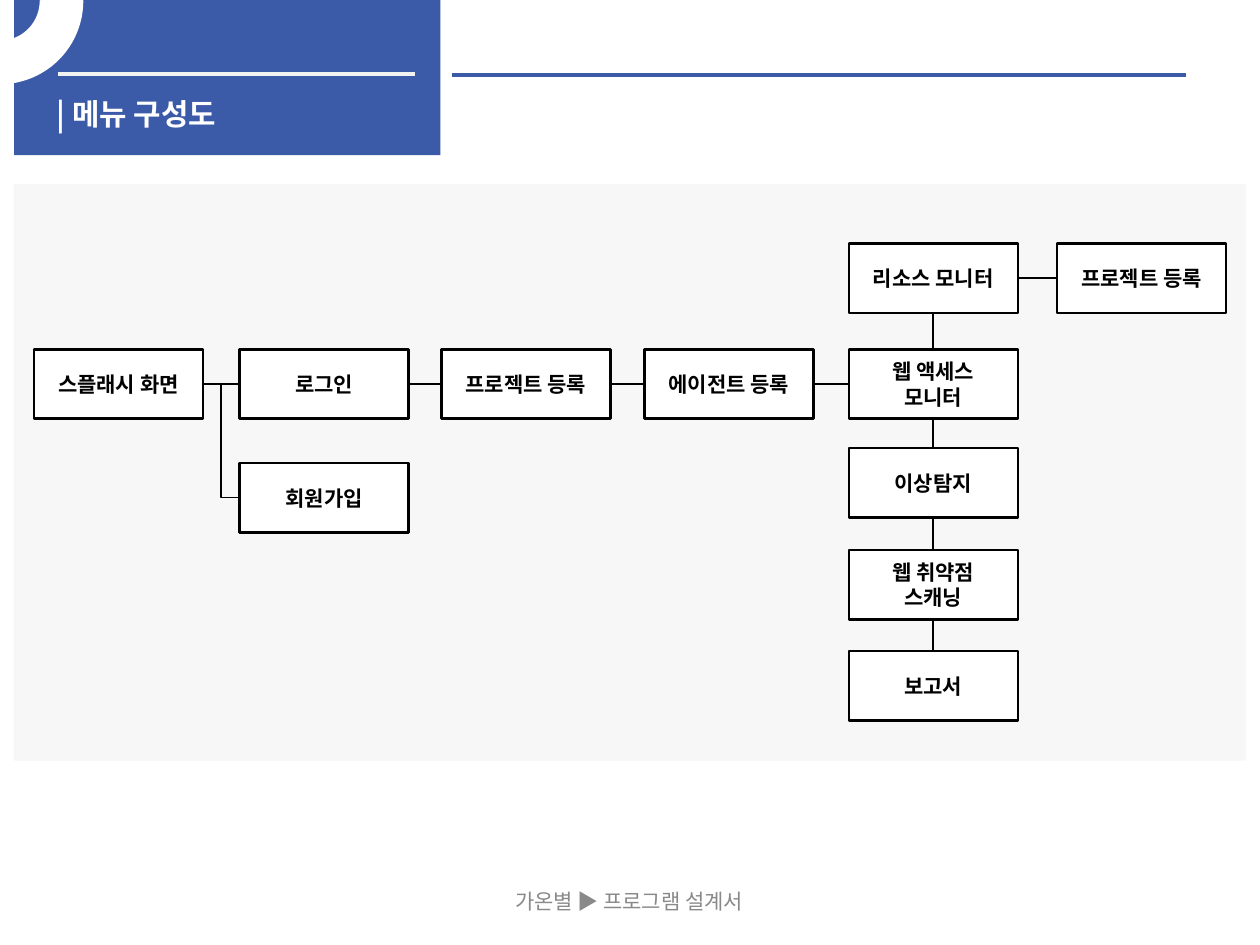
from math import cos, pi, sin

from lxml.etree import SubElement
from pptx import Presentation
from pptx.dml.color import RGBColor
from pptx.enum.shapes import MSO_CONNECTOR as Link, MSO_SHAPE as Shape
from pptx.enum.text import MSO_ANCHOR as Anchor, PP_ALIGN as Align
from pptx.oxml.ns import qn
from pptx.util import Pt

BLUE = RGBColor(0x3B, 0x5A, 0xA8)
WHITE = RGBColor(0xFF, 0xFF, 0xFF)
BLACK = RGBColor(0, 0, 0)
PALE = RGBColor(0xF2, 0xF2, 0xF2)
PANEL = RGBColor(0xF7, 0xF7, 0xF7)
GRAY = RGBColor(0x89, 0x89, 0x89)
KOREAN = "Noto Sans CJK KR"
TOP, LEFT, BOTTOM, RIGHT = range(4)


def write(frame, text, font="Calibri", size=12, color=BLACK, bold=True,
          align=Align.CENTER, anchor=Anchor.MIDDLE):
    frame.word_wrap = True
    frame.vertical_anchor = anchor
    for index, line in enumerate(text.split("\n")):
        para = frame.add_paragraph() if index else frame.paragraphs[0]
        para.alignment = align
        span = para.add_run()
        span.text = line
        span.font.name = font
        span.font.size = Pt(size)
        span.font.bold = bold
        span.font.color.rgb = color
        SubElement(span.font._element, qn("a:ea")).set("typeface", font)


class MenuSlide:
    """Draws the menu structure on one page in a fixed style."""

    def __init__(self, page):
        self.shapes = page.shapes
        self.box_size = (96.5, 39.6)

    def paint(self, shape, fill, line=None, width=1.5):
        shape.shadow.inherit = False
        shape.fill.solid()
        shape.fill.fore_color.rgb = fill
        if line is None:
            shape.line.fill.background()
        else:
            shape.line.color.rgb = line
            shape.line.width = Pt(width)
        return shape

    def block(self, left, top, width, height, fill, line=None):
        sides = map(Pt, (left, top, width, height))
        return self.paint(self.shapes.add_shape(Shape.RECTANGLE, *sides), fill, line)

    def ring(self, center_y, outer, inner, steps=24):
        angles = [pi / 2 * step / steps for step in range(steps + 1)]
        points = [(Pt(radius * sin(angle)), Pt(center_y + radius * cos(angle)))
                  for radius, sweep in ((outer, angles), (inner, angles[::-1]))
                  for angle in sweep]
        builder = self.shapes.build_freeform(*points[0], scale=1.0)
        builder.add_line_segments(points[1:], close=True)
        self.paint(builder.convert_to_shape(), WHITE, WHITE, 2)

    def label(self, left, top, width, height, text, **style):
        box = self.shapes.add_textbox(*map(Pt, (left, top, width, height)))
        box.text_frame.margin_top = box.text_frame.margin_bottom = 0
        write(box.text_frame, text, font=KOREAN, **style)

    def menu(self, left, top, text):
        box = self.block(left, top, *self.box_size, WHITE, BLACK)
        write(box.text_frame, text)
        return box

    def line(self, start, end, color=BLACK, width=1, kind=Link.STRAIGHT):
        line = self.shapes.add_connector(kind, *map(Pt, (*start, *end)))
        line.line.color.rgb = color
        line.line.width = Pt(width)
        SubElement(line._element.spPr, qn("a:effectLst"))
        return line

    def join(self, first, second, sides=(RIGHT, LEFT), kind=Link.STRAIGHT):
        line = self.line((0, 0), (0, 0), kind=kind)
        line.begin_connect(first, sides[0])
        line.end_connect(second, sides[1])


def main():
    deck = Presentation()
    deck.slide_width, deck.slide_height = Pt(719.3), Pt(539.3)
    slide = MenuSlide(deck.slides.add_slide(deck.slide_layouts[6]))

    slide.block(8, 0, 243.4, 88.6, BLUE)
    slide.line((33.1, 42.3), (236.9, 42.3), PALE, 2.25)
    slide.line((257.8, 42.9), (676.8, 42.9), BLUE, 2.25)
    slide.label(25.2, 54.7, 232.6, 21.6, "| 메뉴 구성도", size=17, color=WHITE,
                align=Align.LEFT, anchor=Anchor.TOP)
    slide.ring(0.5, 46.6, 23.7)
    slide.label(245.5, 499.7, 227.5, 28.8, "가온별 ▶ 프로그램 설계서",
                color=GRAY, bold=False)
    slide.block(8, 105.1, 703.4, 329, PANEL)

    main_top, monitor_left = 199.4, 484.6
    steps = [slide.menu(left, main_top, text) for left, text in (
        (19.4, "스플래시 화면"), (136.8, "로그인"),
        (252, "프로젝트 등록"), (367.9, "에이전트 등록"))]
    monitors = [slide.menu(monitor_left, top, text) for top, text in (
        (139, "리소스 모니터"), (main_top, "웹 액세스\n모니터"),
        (255.6, "이상탐지"), (313.9, "웹 취약점\n스캐닝"), (371.5, "보고서"))]
    signup = slide.menu(136.8, 264.2, "회원가입")
    project = slide.menu(603.4, 139, "프로젝트 등록")

    for first, second in zip(steps, steps[1:] + [monitors[1]]):
        slide.join(first, second)
    for upper, lower in zip(monitors, monitors[1:]):
        slide.join(upper, lower, (BOTTOM, TOP))
    slide.join(steps[0], signup, kind=Link.ELBOW)
    slide.join(monitors[0], project)
    deck.save("out.pptx")


if __name__ == "__main__":
    main()
